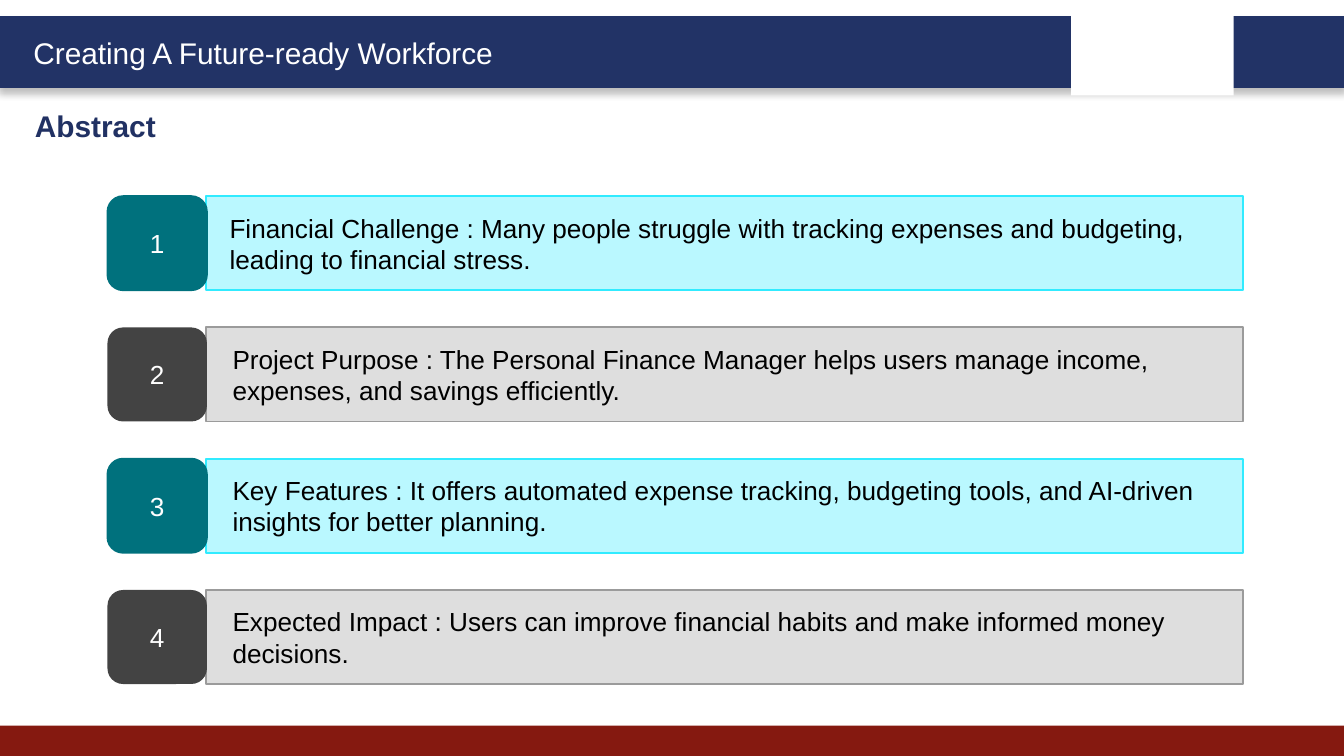
from typing import NamedTuple

from lxml.etree import SubElement
from pptx import Presentation
from pptx.dml.color import RGBColor
from pptx.enum.shapes import MSO_SHAPE
from pptx.enum.text import MSO_ANCHOR, PP_ALIGN
from pptx.oxml.ns import qn
from pptx.util import Inches, Pt

NAVY = RGBColor(0x22, 0x33, 0x66)
TITLE_NAVY = RGBColor(0x21, 0x31, 0x63)
RED = RGBColor(0x85, 0x19, 0x10)
WHITE = RGBColor(0xFF, 0xFF, 0xFF)
BLACK = RGBColor(0x00, 0x00, 0x00)
TEAL = RGBColor(0x00, 0x71, 0x7D)
PALE_CYAN = RGBColor(0xBA, 0xF8, 0xFF)
CYAN = RGBColor(0x31, 0xEB, 0xFF)
CHARCOAL = RGBColor(0x43, 0x43, 0x43)
PALE_GRAY = RGBColor(0xDE, 0xDE, 0xDE)
GRAY = RGBColor(0x9B, 0x9B, 0x9B)

SLIDE_WIDTH = 10
SLIDE_HEIGHT = SLIDE_WIDTH * 9 / 16
FIRST_TOP, LAST_TOP = 1.46, 4.39
ROW_HEIGHT = 0.7


class Box(NamedTuple):
    left: float
    top: float
    width: float
    height: float

    def lengths(self):
        return [Inches(value) for value in self]


class RowStyle(NamedTuple):
    badge_fill: RGBColor
    badge_line: RGBColor | None
    bar_fill: RGBColor
    bar_line: RGBColor


ROW_STYLES = [
    RowStyle(TEAL, TEAL, PALE_CYAN, CYAN),
    RowStyle(CHARCOAL, None, PALE_GRAY, GRAY),
]
CHALLENGE = ("Financial Challenge : Many people struggle with tracking expenses and budgeting, "
             "leading to financial stress.")
BAR_TEXTS = [
    None,  # the challenge has a text box of its own over the first bar
    "Project Purpose : The Personal Finance Manager helps users manage income, "
    "expenses, and savings efficiently.",
    "Key Features : It offers automated expense tracking, budgeting tools, "
    "and AI-driven insights for better planning.",
    "Expected Impact : Users can improve financial habits and make informed money decisions.",
]


def write_text(shape, text: str, *, size: int = 14, color: RGBColor = BLACK,
               bold: bool = False, align=PP_ALIGN.LEFT, anchor=MSO_ANCHOR.TOP,
               left_inset: float = 0.1) -> None:
    frame = shape.text_frame
    frame.word_wrap = True
    frame.vertical_anchor = anchor
    frame.margin_left, frame.margin_right = Inches(left_inset), Inches(0.1)
    frame.margin_top = frame.margin_bottom = Inches(0.05)
    paragraph = frame.paragraphs[0]
    paragraph.alignment = align
    paragraph.line_spacing = 1.0
    paragraph.space_before = Pt(0)
    run = paragraph.add_run()
    run.text = text
    run.font.name = "Arial"
    run.font.size = Pt(size)
    run.font.bold = bold
    run.font.color.rgb = color


def add_text(slide, box: Box, text: str, **text_format) -> None:
    write_text(slide.shapes.add_textbox(*box.lengths()), text, **text_format)


def add_box(slide, box: Box, fill: RGBColor, line: RGBColor | None = None,
            line_width: float = 1, kind=MSO_SHAPE.RECTANGLE):
    shape = slide.shapes.add_shape(kind, *box.lengths())
    shape.shadow.inherit = False
    shape.fill.solid()
    shape.fill.fore_color.rgb = fill
    if line is None:
        shape.line.fill.background()
    else:
        shape.line.color.rgb = line
        shape.line.width = Pt(line_width)
    return shape


def add_drop_shadow(shape) -> None:
    effects = shape.element.spPr.find(qn("a:effectLst"))
    shadow = SubElement(effects, qn("a:outerShdw"), blurRad=str(Pt(4)),
                        dist=str(Pt(3)), dir="5400000", rotWithShape="0")
    color = SubElement(shadow, qn("a:srgbClr"), val="000000")
    SubElement(color, qn("a:alpha"), val="25000")


def add_row(slide, number: int, top: float, text: str | None, style: RowStyle) -> None:
    bar = add_box(slide, Box(1.53, top, 7.72, ROW_HEIGHT), style.bar_fill, style.bar_line)
    if text:
        write_text(bar, text, anchor=MSO_ANCHOR.MIDDLE, left_inset=0.2)
    badge = add_box(slide, Box(0.8, top, 0.74, ROW_HEIGHT), style.badge_fill,
                    style.badge_line, kind=MSO_SHAPE.ROUNDED_RECTANGLE)
    write_text(badge, str(number), color=WHITE, align=PP_ALIGN.CENTER,
               anchor=MSO_ANCHOR.MIDDLE)


def main() -> None:
    presentation = Presentation()
    presentation.slide_width = Inches(SLIDE_WIDTH)
    presentation.slide_height = Inches(SLIDE_HEIGHT)
    slide = presentation.slides.add_slide(presentation.slide_layouts[5])

    header = add_box(slide, Box(0, 0.13, SLIDE_WIDTH, 0.51), NAVY, NAVY, 2)
    add_drop_shadow(header)
    add_box(slide, Box(0, 5.4, SLIDE_WIDTH, SLIDE_HEIGHT - 5.4), RED)
    add_box(slide, Box(7.97, 0.07, 1.21, 0.64), WHITE)
    add_text(slide, Box(0.15, 0.21, 3.78, 0.37), "Creating A Future-ready Workforce",
             size=16, color=WHITE)

    title = slide.shapes.title
    title.left, title.top, title.width, title.height = Box(0.16, 0.75, 4.84, 0.37).lengths()
    write_text(title, "Abstract", size=16, color=TITLE_NAVY, bold=True)

    pitch = (LAST_TOP - FIRST_TOP) / (len(BAR_TEXTS) - 1)
    for index, text in enumerate(BAR_TEXTS):
        style = ROW_STYLES[index % len(ROW_STYLES)]
        add_row(slide, index + 1, FIRST_TOP + index * pitch, text, style)
    add_text(slide, Box(1.61, 1.53, 7.63, 0.57), CHALLENGE)

    presentation.save("out.pptx")


if __name__ == "__main__":
    main()
